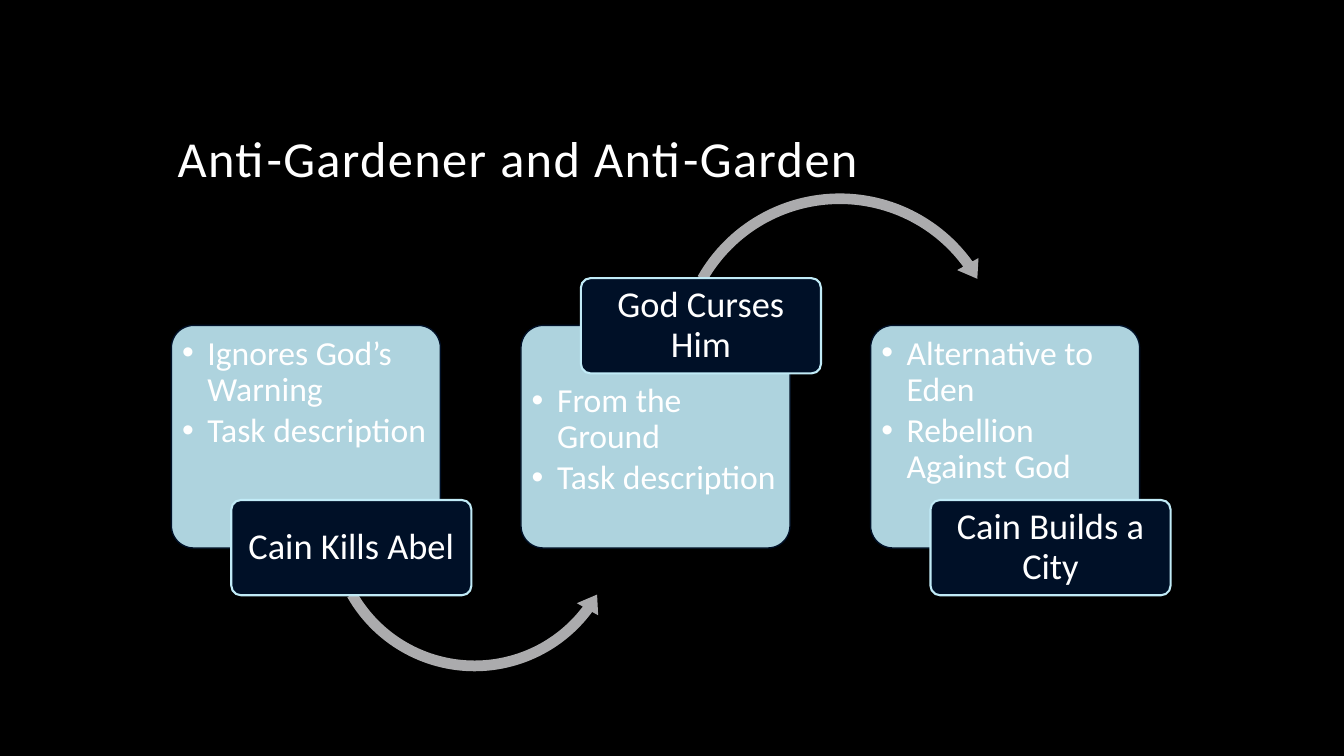
import dataclasses

import lxml.etree
import pptx
import pptx.dml.color
import pptx.enum.shapes
import pptx.enum.text
import pptx.oxml.ns
import pptx.util

Cm = pptx.util.Cm
Pt = pptx.util.Pt
RGB = pptx.dml.color.RGBColor
PRESET = pptx.enum.shapes.MSO_SHAPE
ALIGN = pptx.enum.text.PP_ALIGN
ANCHOR = pptx.enum.text.MSO_ANCHOR
qn = pptx.oxml.ns.qn


@dataclasses.dataclass(frozen=True)
class Theme:
    font: str = "Calibri"
    background: RGB = RGB(0, 0, 0)
    text: RGB = RGB(255, 255, 255)
    navy: RGB = RGB.from_string("001027")
    pale_blue: RGB = RGB.from_string("C1EBF7")
    arrow: RGB = RGB.from_string("ABABAD")
    title_size: int = 36
    label_size: int = 26
    detail_size: int = 24


@dataclasses.dataclass(frozen=True)
class Step:
    label: str
    details: tuple
    label_on_top: bool = False
    arrow: tuple = ()


THEME = Theme()
STEPS = (
    Step(
        "Cain Kills Abel",
        ("Ignores God’s Warning", "Task description"),
        arrow=(PRESET.LEFT_CIRCULAR_ARROW, 8.1, 9.37, 7.72,
               (0.035, 4.277, 22.032, 90.245, 0.04)),
    ),
    Step(
        "God Curses Him",
        ("From the Ground", "Task description"),
        label_on_top=True,
        arrow=(PRESET.CIRCULAR_ARROW, 16.87, 4.7, 8.59,
               (0.031, 3.813, 194.431, 125.755, 0.036)),
    ),
    Step("Cain Builds a City", ("Alternative to Eden", "Rebellion Against God")),
)
FIRST_LEFT, STEP_PITCH, CARD_TOP = 4.32, 8.81, 8.2


def format_paragraph(paragraph, size, alignment):
    paragraph.alignment = alignment
    paragraph.line_spacing = 0.9
    for run in paragraph.runs:
        run.font.name = THEME.font
        run.font.size = Pt(size)
        run.font.color.rgb = THEME.text


def add_bullet(paragraph):
    paragraph.level = 1
    paragraph.space_after = Pt(3.6)
    properties = paragraph._p.get_or_add_pPr()
    properties.set("marL", str(Cm(0.64)))
    properties.set("indent", str(-Cm(0.64)))
    lxml.etree.SubElement(properties, qn("a:buFont"), typeface="Arial")
    lxml.etree.SubElement(properties, qn("a:buChar"), char="•")


def add_preset(slide, preset, left, top, width, height, fill, adjustments):
    shape = slide.shapes.add_shape(preset, Cm(left), Cm(top), Cm(width), Cm(height))
    shape.shadow.inherit = False
    shape.fill.solid()
    shape.fill.fore_color.rgb = fill
    shape.line.fill.background()
    for index, value in enumerate(adjustments):
        shape.adjustments[index] = value
    return shape


def add_panel(slide, left, top, width, height, fill, outline, outline_width):
    panel = add_preset(slide, PRESET.ROUNDED_RECTANGLE, left, top, width, height,
                       fill, (0.1,))
    panel.line.color.rgb = outline
    panel.line.width = Pt(outline_width)
    return panel


def add_text(slide, left, top, width, height, text, size, alignment, anchor, inset):
    box = slide.shapes.add_textbox(Cm(left), Cm(top), Cm(width), Cm(height))
    frame = box.text_frame
    frame.word_wrap = True
    frame.vertical_anchor = anchor
    frame.margin_left = frame.margin_right = Cm(0.13)
    frame.margin_top = frame.margin_bottom = Cm(inset)
    frame.text = text
    for paragraph in frame.paragraphs:
        format_paragraph(paragraph, size, alignment)
    return frame


def add_card(slide, left, step):
    card = add_panel(slide, left, CARD_TOP, 6.78, 5.61,
                     THEME.pale_blue, THEME.navy, 1)
    fill_color = card.element.spPr.find(qn("a:solidFill")).find(qn("a:srgbClr"))
    lxml.etree.SubElement(fill_color, qn("a:alpha"), val="90000")
    details_top = 9.53 if step.label_on_top else 8.34
    details = add_text(slide, left + 0.14, details_top, 6.53, 4.14,
                       "\n".join(step.details), THEME.detail_size,
                       ALIGN.LEFT, ANCHOR.TOP, 0.13)
    for paragraph in details.paragraphs:
        add_bullet(paragraph)


def add_arrow(slide, preset, left, top, size, adjustments):
    add_preset(slide, preset, left, top, size, size, THEME.arrow, adjustments)


def add_label(slide, card_left, step):
    left = card_left + 1.51
    top = 7.01 if step.label_on_top else 12.6
    add_panel(slide, left, top, 6.05, 2.4, THEME.navy, THEME.pale_blue, 1.5)
    add_text(slide, left + 0.07, top + 0.07, 5.91, 2.26, step.label,
             THEME.label_size, ALIGN.CENTER, ANCHOR.MIDDLE, 0.1)


def set_title(slide, text):
    title = slide.shapes.title
    title.left, title.top = Cm(4.22), Cm(1.07)
    title.width, title.height = Cm(25.4), Cm(3.81)
    frame = title.text_frame
    frame.text = text
    frame.word_wrap = True
    frame.auto_size = pptx.enum.text.MSO_AUTO_SIZE.NONE
    frame.vertical_anchor = ANCHOR.BOTTOM
    heading = frame.paragraphs[0]
    format_paragraph(heading, THEME.title_size, ALIGN.LEFT)
    heading.runs[0].font._element.set("spc", "100")


def main():
    deck = pptx.Presentation()
    deck.slide_width, deck.slide_height = Cm(33.87), Cm(19.05)
    slide = deck.slides.add_slide(deck.slide_layouts[5])
    slide.background.fill.solid()
    slide.background.fill.fore_color.rgb = THEME.background
    set_title(slide, "Anti-Gardener and Anti-Garden")
    for index, step in enumerate(STEPS):
        left = FIRST_LEFT + index * STEP_PITCH
        add_card(slide, left, step)
        if step.arrow:
            add_arrow(slide, *step.arrow)
        add_label(slide, left, step)
    deck.save("out.pptx")


if __name__ == "__main__":
    main()
